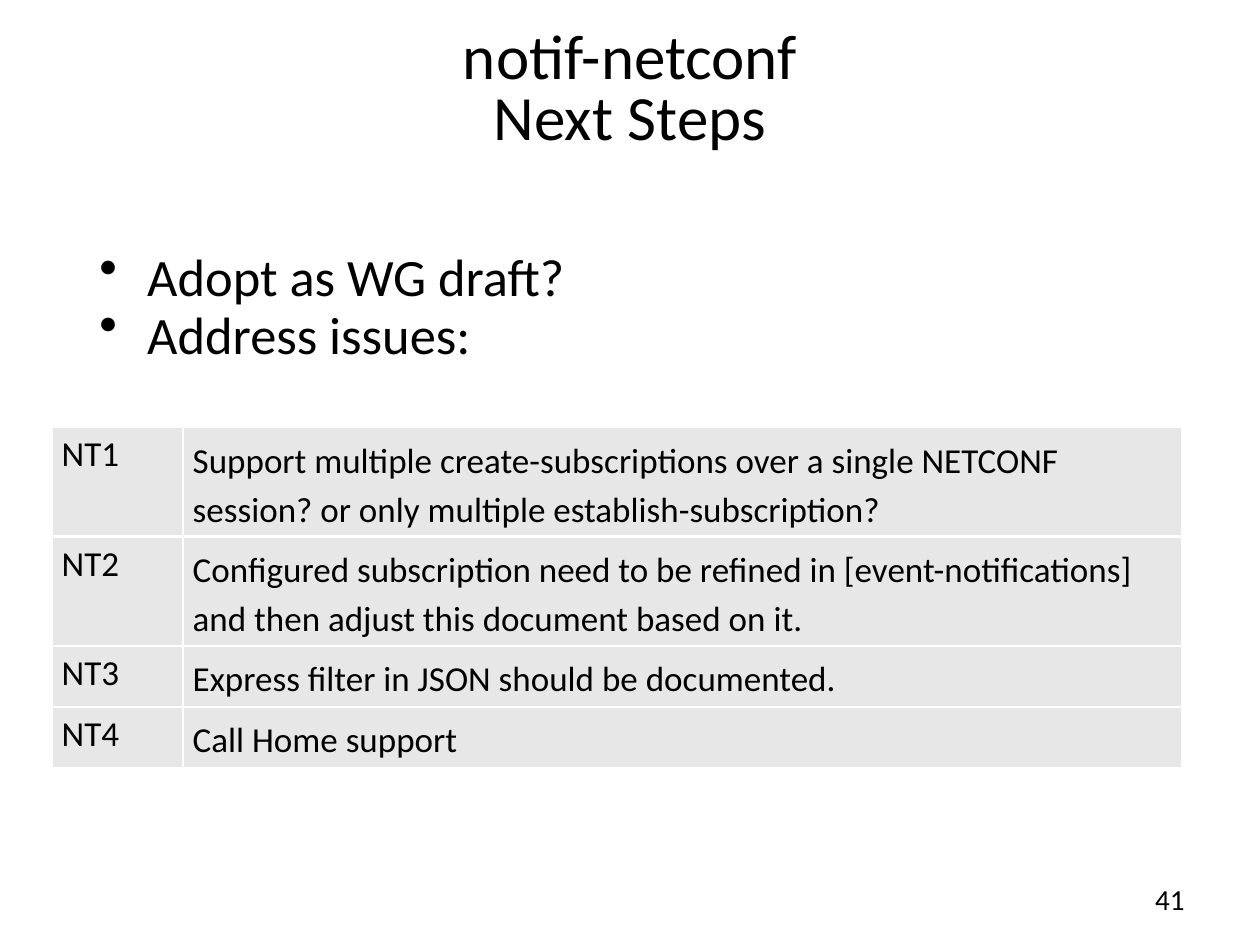
from lxml.etree import SubElement
from pptx import Presentation
from pptx.dml.color import RGBColor
from pptx.enum.text import MSO_ANCHOR as Anchor, PP_ALIGN as Align
from pptx.oxml.ns import qn
from pptx.util import Inches, Pt


def color(code):
    return RGBColor.from_string(code)


class Deck:
    font = "Calibri"
    ink = "000000"
    cell = "E7E7E7"
    rule = "FFFFFF"
    edge = 1.47

    def __init__(self, wide, high):
        self.file = Presentation()
        self.file.slide_width = Inches(wide)
        self.file.slide_height = Inches(high)
        self.slide = self.file.slides.add_slide(self.file.slide_layouts[6])

    def style(self, para, size, align=Align.LEFT, lead=None):
        para.alignment = align
        para.line_spacing = lead
        para.font.size = Pt(size)
        para.font.name = self.font
        para.font.color.rgb = color(self.ink)

    def text(self, box, lines, size, align=Align.LEFT, lead=None, anchor=Anchor.TOP):
        frame = self.slide.shapes.add_textbox(*map(Inches, box)).text_frame
        frame.word_wrap = True
        frame.vertical_anchor = anchor
        frame.text = "\n".join(lines)
        for para in frame.paragraphs:
            self.style(para, size, align, lead)
        return frame

    def list(self, box, lines, size, lead, gap, indent):
        frame = self.text(box, lines, size, lead=lead, anchor=Anchor.BOTTOM)
        frame.margin_bottom = Inches(0.08)
        for spot, para in enumerate(frame.paragraphs):
            if spot:
                para.space_before = Pt(gap)
            props = para._p.get_or_add_pPr()
            props.set("marL", str(Inches(indent)))
            props.set("indent", str(-Inches(indent)))
            mark = props.makeelement(qn("a:buChar"), {"char": "•"})
            props.insert_element_before(mark, "a:tabLst", "a:defRPr", "a:extLst")

    def border(self, cell):
        props = cell._tc.get_or_add_tcPr()
        for spot, side in enumerate(("lnL", "lnR", "lnT", "lnB")):
            line = props.makeelement(qn("a:" + side), {"w": str(Pt(self.edge))})
            fill = SubElement(line, qn("a:solidFill"))
            SubElement(fill, qn("a:srgbClr"), val=self.rule)
            props.insert(spot, line)

    def table(self, left, top, cols, highs, rows, size, leads):
        box = map(Inches, (left, top, sum(cols), sum(highs)))
        grid = self.slide.shapes.add_table(len(rows), len(cols), *box).table
        grid.first_row = grid.horz_banding = False
        for col, wide in zip(grid.columns, cols):
            col.width = Inches(wide)
        for row, high, words in zip(grid.rows, highs, rows):
            row.height = Inches(high)
            for cell, word, lead in zip(row.cells, words, leads):
                cell.text = word
                cell.margin_left = cell.margin_right = Inches(0.08)
                cell.margin_top = cell.margin_bottom = Inches(0.05)
                cell.fill.solid()
                cell.fill.fore_color.rgb = color(self.cell)
                self.style(cell.text_frame.paragraphs[0], size, lead=lead)
                self.border(cell)

    def save(self):
        self.file.save("out.pptx")


def main():
    deck = Deck(10, 7.5)
    deck.text((0.5, 0.3, 9, 0.86), ["notif-netconf\vNext Steps"], 36,
              Align.CENTER, 0.8, Anchor.MIDDLE)
    issues = [
        ("NT1", "Support multiple create-subscriptions over a single NETCONF "
                "session? or only multiple establish-subscription?"),
        ("NT2", "Configured subscription need to be refined in "
                "[event-notifications] and then adjust this document based on it."),
        ("NT3", "Express filter in JSON should be documented."),
        ("NT4", "Call Home support"),
    ]
    deck.table(0.41, 3.39, (1.04, 7.93), (0.77, 0.77, 0.42, 0.42),
               issues, 20, (None, 1.15))
    deck.text((7.17, 6.95, 2.33, 0.4), ["41"], 16.6, Align.RIGHT)
    deck.list((0.69, 1.39, 9.18, 1.57), ["Adopt as WG draft?", "Address issues:"],
              30, 0.7, 7.5, 0.38)
    deck.save()


if __name__ == "__main__":
    main()
